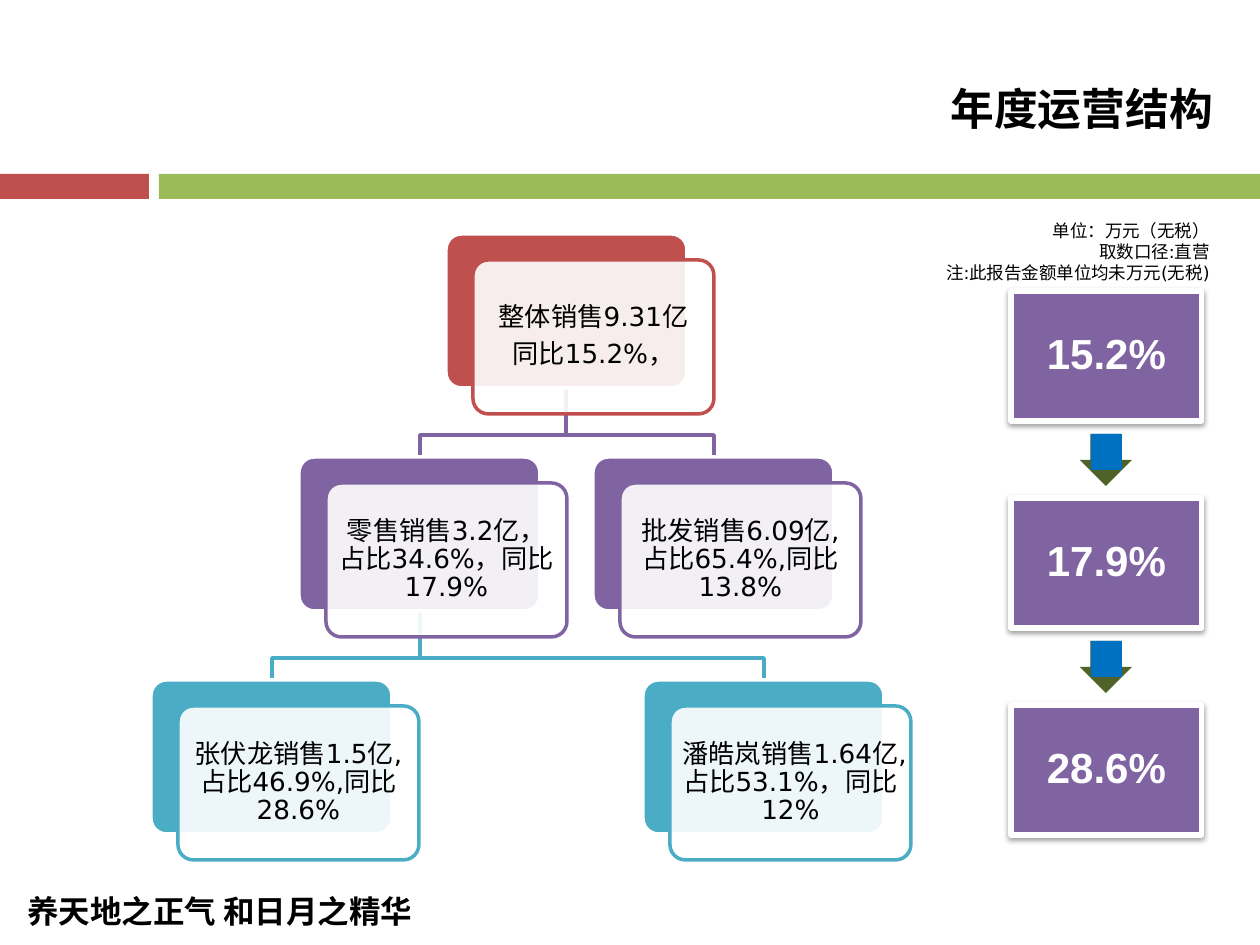
import pptx
import pptx.util
import pptx.dml.color
import pptx.enum.shapes
import pptx.enum.text
import pptx.oxml
import pptx.oxml.ns
from lxml import etree

PX = 914400 / 126
COLORS = {"red": "C0504D", "green": "9BBB59", "purple": "8064A2", "teal": "4BACC6",
          "olive": "4F6228", "blue": "0070C0", "white": "FFFFFF", "black": "000000"}
CJK_FONT = "Noto Sans CJK SC"
KINDS = pptx.enum.shapes.MSO_SHAPE
ALIGN = pptx.enum.text.PP_ALIGN
ANCHOR = pptx.enum.text.MSO_ANCHOR

BARS = [("green", 159, 1101), ("red", 0, 149)]
HEADINGS = [
    (["养天地之正气 和日月之精华"], (15, 886, 507, 50),
     dict(size=18, font=CJK_FONT, bold=True, align=ALIGN.LEFT)),
    (["年度运营结构"], (413, 76, 812, 66),
     dict(size=25, font="Arial", bold=True, align=ALIGN.RIGHT)),
    (["单位：万元（无税）", "取数口径:直营", "注:此报告金额单位均未万元(无税)"],
     (853, 214, 369, 77), dict(size=10, align=ALIGN.RIGHT)),
]
# name: (left px, level, parent, lines)
SALES_TREE = {
    "total": (446, 0, None, ["整体销售9.31亿", "同比15.2%，"]),
    "retail": (299, 1, "total", ["零售销售3.2亿，占比34.6%，同比17.9%"]),
    "wholesale": (593, 1, "total", ["批发销售6.09亿,占比65.4%,同比13.8%"]),
    "zhang": (151, 2, "retail", ["张伏龙销售1.5亿,占比46.9%,同比28.6%"]),
    "pan": (643, 2, "retail", ["潘皓岚销售1.64亿,占比53.1%，同比12%"]),
}
LEVEL_COLORS = ["red", "purple", "teal"]
TREE_TOP, LEVEL_STEP, CARD_W, CARD_H = 234, 223, 241, 154
SHIFT_X, SHIFT_Y, ELBOW = 27, 26, 22
GROWTH = ["15.2%", "17.9%", "28.6%"]
GROWTH_TOP, GROWTH_STEP = 291, 207

deck = pptx.Presentation()
deck.slide_width, deck.slide_height = pptx.util.Inches(10), pptx.util.Inches(7.5)
page = deck.slides.add_slide(deck.slide_layouts[6])


def emu(*lengths):
    return [round(length * PX) for length in lengths]


def rgb(name):
    return pptx.dml.color.RGBColor.from_string(COLORS[name])


def set_line(shape, color, width):
    if color:
        shape.line.color.rgb = rgb(color)
        shape.line.width = pptx.util.Pt(width)
    else:
        shape.line.fill.background()


def add_block(kind, place, fill, line=None, width=2, adjust=(), alpha=None):
    shape = page.shapes.add_shape(kind, *emu(*place))
    shape.shadow.inherit = False
    shape.fill.solid()
    shape.fill.fore_color.rgb = rgb(fill)
    set_line(shape, line, width)
    for index, value in enumerate(adjust):
        shape.adjustments[index] = value
    if alpha:
        color = shape.fill._xPr.find(".//" + pptx.oxml.ns.qn("a:srgbClr"))
        etree.SubElement(color, pptx.oxml.ns.qn("a:alpha"), val=str(alpha * 1000))
    return shape


def write(box, lines, size=15, font="DejaVu Sans", color="black", bold=False,
          align=ALIGN.CENTER, anchor=ANCHOR.TOP, inset=None, spacing=None, after=0):
    frame = box.text_frame
    frame.word_wrap = True
    frame.vertical_anchor = anchor
    if inset is not None:
        margin = emu(inset)[0]
        frame.margin_left = frame.margin_right = margin
        frame.margin_top = frame.margin_bottom = margin
    for index, line in enumerate(lines):
        para = frame.add_paragraph() if index else frame.paragraphs[0]
        para.alignment = align
        para.space_after = pptx.util.Pt(after)
        if spacing:
            para.line_spacing = spacing
        span = para.add_run()
        span.text = line
        span.font.size, span.font.bold, span.font.name = pptx.util.Pt(size), bold, font
        span.font.color.rgb = rgb(color)
        etree.SubElement(span.font._element, pptx.oxml.ns.qn("a:ea"), typeface=CJK_FONT)


def add_drop_shadow(shape):
    effects = shape._element.spPr.find(pptx.oxml.ns.qn("a:effectLst"))
    effects.append(pptx.oxml.parse_xml(
        f'<a:outerShdw {pptx.oxml.ns.nsdecls("a")} blurRad="40000" dist="20000" '
        'dir="5400000" rotWithShape="0"><a:srgbClr val="000000">'
        '<a:alpha val="38000"/></a:srgbClr></a:outerShdw>'))


def level_top(level):
    return TREE_TOP + level * LEVEL_STEP


def add_branch(parent, child):
    """Draw the elbow line from a parent card down to its child."""
    start, end = parent[0] + CARD_W / 2, child[0] + CARD_W / 2
    top, bottom = level_top(parent[1]) + CARD_H, level_top(child[1])
    builder = page.shapes.build_freeform(start, top, scale=PX)
    builder.add_line_segments(
        [(start, bottom - ELBOW), (end, bottom - ELBOW), (end, bottom)], close=False)
    branch = builder.convert_to_shape()
    branch.shadow.inherit = False
    branch.fill.background()
    set_line(branch, LEVEL_COLORS[child[1]], 2)


def add_card(left, level, lines):
    color, top = LEVEL_COLORS[level], level_top(level)
    add_block(KINDS.ROUNDED_RECTANGLE, (left, top, CARD_W, CARD_H), color, "white",
              adjust=[0.1])
    front = add_block(KINDS.ROUNDED_RECTANGLE,
                      (left + SHIFT_X, top + SHIFT_Y, CARD_W, CARD_H),
                      "white", color, adjust=[0.1], alpha=90)
    write(front, lines, anchor=ANCHOR.MIDDLE, inset=8, spacing=0.9, after=5)


def add_growth_tile(top, label):
    add_block(KINDS.ROUNDED_RECTANGLE, (1007, top - 4, 198, 139), "olive", "white",
              adjust=[0.1])
    tile = add_block(KINDS.RECTANGLE, (1011, top, 191, 130), "purple", "white", 3)
    add_drop_shadow(tile)
    write(tile, [label], size=24, font="Arial", color="white", bold=True,
          anchor=ANCHOR.MIDDLE, inset=15, spacing=0.9, after=8)


def add_growth_arrow(top):
    add_block(KINDS.DOWN_ARROW, (1080, top, 52, 52), "olive", adjust=[0.6, 0.5])
    add_block(KINDS.RECTANGLE, (1091, top, 31, 36), "blue")


for bar_color, bar_left, bar_width in BARS:
    add_block(KINDS.RECTANGLE, (bar_left, 174, bar_width, 25), bar_color)

for node in SALES_TREE.values():
    if node[2]:
        add_branch(SALES_TREE[node[2]], node)
for card_left, card_level, _, card_lines in SALES_TREE.values():
    add_card(card_left, card_level, card_lines)

for step, rate in enumerate(GROWTH):
    tile_top = GROWTH_TOP + step * GROWTH_STEP
    add_growth_tile(tile_top, rate)
    if step < len(GROWTH) - 1:
        add_growth_arrow(tile_top + 143)

for heading_lines, heading_place, style in HEADINGS:
    write(page.shapes.add_textbox(*emu(*heading_place)), heading_lines, **style)

deck.save("out.pptx")
